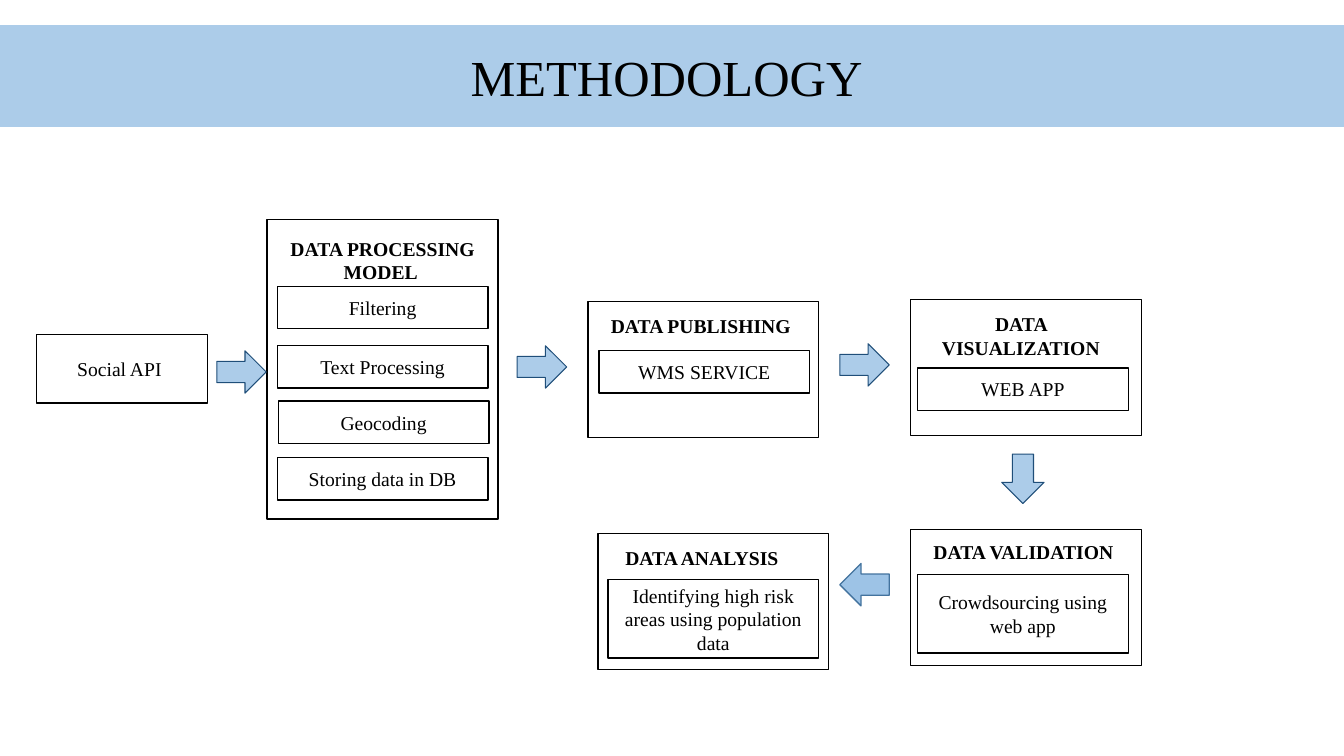
import dataclasses

import pptx
import pptx.dml.color
import pptx.enum.shapes
import pptx.enum.text
import pptx.oxml
import pptx.oxml.ns
import pptx.util

Inches = pptx.util.Inches
Shapes = pptx.enum.shapes.MSO_SHAPE
Anchor = pptx.enum.text.MSO_ANCHOR
AutoSize = pptx.enum.text.MSO_AUTO_SIZE
CENTER = pptx.enum.text.PP_ALIGN.CENTER


@dataclasses.dataclass(frozen=True)
class Theme:
    font: str = "Times New Roman"
    title_size: int = 36
    body_size: int = 14
    ink: str = "000000"
    paper: str = "FFFFFF"
    accent: str = "5B9BD5"
    accent_opacity: int = 50
    arrow_edge: str = "1F4E79"
    back_arrow: str = "9DC3E6"
    back_arrow_edge: str = "43739E"


THEME = Theme()
SLIDE_WIDTH, SLIDE_HEIGHT = 13.33, 7.5
STAGE_WIDTH, STEP_WIDTH = 2.29, 2.09
STEP_HEIGHT, TALL_STEP_HEIGHT = 0.42, 0.78
HEADING_HEIGHT, TALL_HEADING_HEIGHT = 0.34, 0.57
ARROW_WIDTH, ARROW_HEIGHT = 0.49, 0.42

# Each stage: its box, then heading and steps as (text, left, top, height) inside it
STAGES = [
    ((2.65, 2.18, STAGE_WIDTH, 2.97),
     ("DATA PROCESSING MODEL ", 0.1, 0.12, TALL_HEADING_HEIGHT),
     [("Filtering", 0.1, 0.66, STEP_HEIGHT),
      ("Text Processing", 0.1, 1.25, STEP_HEIGHT),
      ("Geocoding", 0.11, 1.8, STEP_HEIGHT),
      ("Storing data in DB", 0.1, 2.36, STEP_HEIGHT)]),
    ((5.83, 2.99, STAGE_WIDTH, 1.35),
     ("DATA PUBLISHING ", 0.1, 0.08, HEADING_HEIGHT),
     [("WMS SERVICE", 0.11, 0.49, STEP_HEIGHT)]),
    ((9.03, 2.97, STAGE_WIDTH, 1.35),
     ("DATA VISUALIZATION", 0.05, 0.08, TALL_HEADING_HEIGHT),
     [("WEB APP", 0.07, 0.68, STEP_HEIGHT)]),
    ((9.03, 5.25, STAGE_WIDTH, 1.35),
     ("DATA VALIDATION ", 0.1, 0.06, HEADING_HEIGHT),
     [("Crowdsourcing using web app", 0.07, 0.45, TALL_STEP_HEIGHT)]),
    ((5.93, 5.29, STAGE_WIDTH, 1.35),
     ("DATA ANALYSIS ", 0.01, 0.08, HEADING_HEIGHT),
     [("Identifying high risk areas using population data", 0.1, 0.46, TALL_STEP_HEIGHT)]),
]

# Left, top and rotation of the arrows that lead forward
FORWARD_ARROWS = [(2.15, 3.48, 0), (5.13, 3.43, 0), (8.33, 3.41, 0), (9.9, 4.54, 90)]


def rgb(color):
    return pptx.dml.color.RGBColor.from_string(color)


def apply_format(target, values):
    for name, value in values.items():
        setattr(target, name, value)


def add_box(page, box, fill, edge=None, edge_width=1, kind=Shapes.RECTANGLE, opacity=100):
    shape = page.shapes.add_shape(kind, *map(Inches, box))
    shape.shadow.inherit = False
    shape.fill.solid()
    shape.fill.fore_color.rgb = rgb(fill)
    if opacity < 100:
        color = shape.fill._xPr.find(".//" + pptx.oxml.ns.qn("a:srgbClr"))
        alpha = pptx.oxml.parse_xml(f'<a:alpha {pptx.oxml.ns.nsdecls("a")} val="{opacity * 1000}"/>')
        color.append(alpha)
    if edge:
        shape.line.color.rgb = rgb(edge)
        shape.line.width = pptx.util.Pt(edge_width)
    else:
        shape.line.fill.background()
    return shape


def write(shape, text, size=THEME.body_size, bold=False, **frame_format):
    frame = shape.text_frame
    apply_format(frame, {"word_wrap": True, "vertical_anchor": Anchor.MIDDLE, **frame_format})
    para = frame.paragraphs[0]
    para.alignment = CENTER
    span = para.add_run()
    span.text = text
    apply_format(span.font, {"name": THEME.font, "size": pptx.util.Pt(size), "bold": bold})
    span.font.color.rgb = rgb(THEME.ink)


def add_title_band(page, box):
    band = add_box(page, box, THEME.accent, opacity=THEME.accent_opacity)
    write(band, "METHODOLOGY ", THEME.title_size)


def add_step(page, box, text):
    write(add_box(page, box, THEME.paper, THEME.ink), text)


def add_stage(page, box, heading, steps):
    """Draw a framed stage with its heading and steps placed from the frame's corner."""
    left, top = box[:2]
    add_box(page, box, THEME.paper, THEME.ink)
    text, inset, drop, height = heading
    label = page.shapes.add_textbox(*map(Inches, (left + inset, top + drop, STEP_WIDTH, height)))
    write(label, text, bold=True, vertical_anchor=Anchor.TOP, auto_size=AutoSize.SHAPE_TO_FIT_TEXT)
    for text, inset, drop, height in steps:
        add_step(page, (left + inset, top + drop, STEP_WIDTH, height), text)


def add_arrows(page):
    for left, top, rotation in FORWARD_ARROWS:
        arrow = add_box(page, (left, top, ARROW_WIDTH, ARROW_HEIGHT), THEME.accent, THEME.arrow_edge,
                        0.75, Shapes.RIGHT_ARROW, THEME.accent_opacity)
        arrow.rotation = rotation
    add_box(page, (8.33, 5.59, ARROW_WIDTH, ARROW_HEIGHT), THEME.back_arrow, THEME.back_arrow_edge,
            kind=Shapes.LEFT_ARROW)


def main():
    deck = pptx.Presentation()
    apply_format(deck, {"slide_width": Inches(SLIDE_WIDTH), "slide_height": Inches(SLIDE_HEIGHT)})
    page = deck.slides.add_slide(deck.slide_layouts[6])
    add_title_band(page, (0, 0.25, SLIDE_WIDTH, 1.01))
    add_step(page, (0.36, 3.32, 1.7, 0.68), "Social API ")
    for box, heading, steps in STAGES:
        add_stage(page, box, heading, steps)
    add_arrows(page)
    deck.save("out.pptx")


if __name__ == "__main__":
    main()
